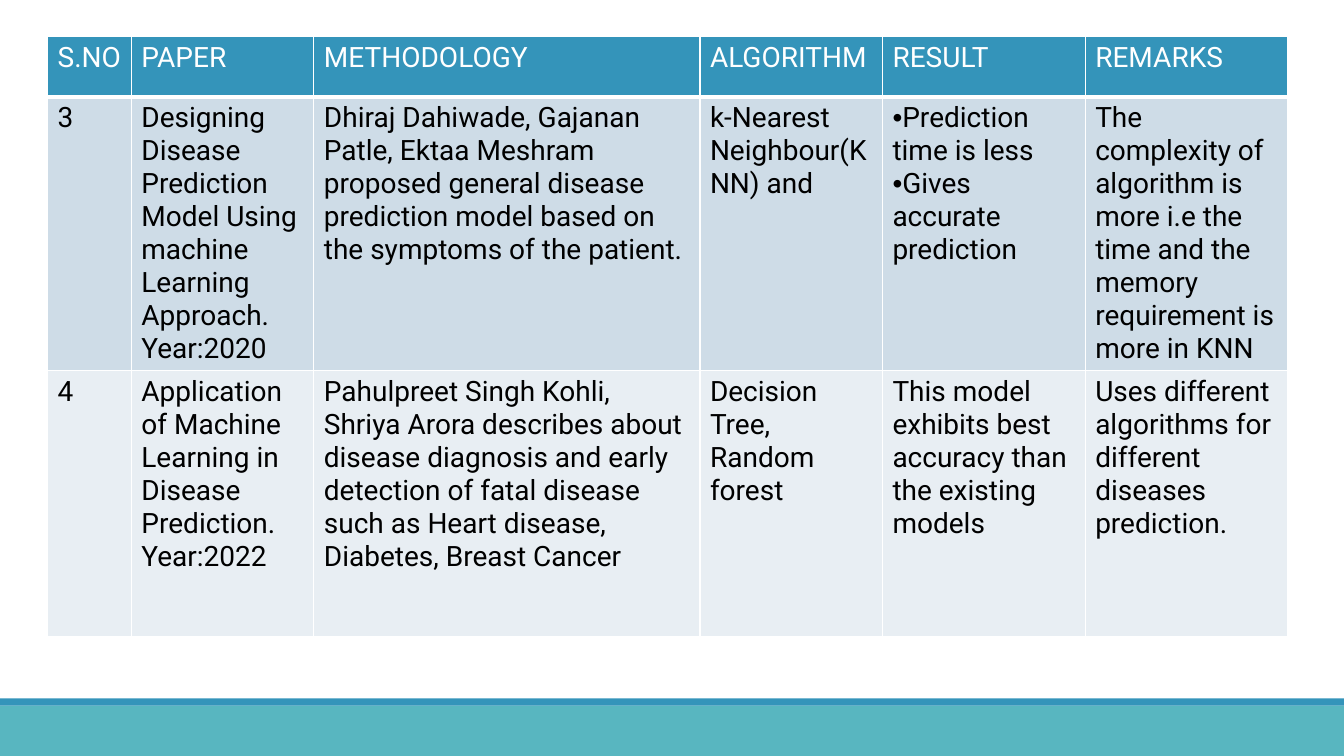
"""Builds the literature survey table slide, papers 3 and 4."""
from dataclasses import dataclass

from lxml.etree import SubElement
from pptx import Presentation
from pptx.dml.color import RGBColor
from pptx.enum.shapes import MSO_SHAPE
from pptx.oxml.ns import qn
from pptx.util import Cm, Pt


@dataclass(frozen=True)
class Theme:
    """Colours, font and sizes of the slide."""
    blue: str = "3494BA"
    teal: str = "58B6C0"
    white: str = "FFFFFF"
    black: str = "000000"
    stripes: tuple = ("CEDCE7", "E8EEF3")
    font: str = "Roboto"
    body: int = 20
    rule: int = 1
    header_rule: int = 3


@dataclass
class SlideBuilder:
    """Draws styled elements on one slide."""
    slide: object
    theme: Theme

    def band(self, left, top, width, height, colour):
        """Add a plain filled rectangle."""
        band = self.slide.shapes.add_shape(
            MSO_SHAPE.RECTANGLE, Cm(left), Cm(top), Cm(width), Cm(height))
        band.shadow.inherit = False
        band.fill.solid()
        band.fill.fore_color.rgb = RGBColor.from_string(colour)
        band.line.fill.background()

    def borders(self, cell, top, bottom):
        """Rule the four sides of a cell in white."""
        properties = cell._tc.get_or_add_tcPr()
        side_rule = self.theme.rule
        for side, points in zip("LRTB", (side_rule, side_rule, top, bottom)):
            rule = SubElement(properties, qn(f"a:ln{side}"), w=str(Pt(points)))
            paint = SubElement(rule, qn("a:solidFill"))
            SubElement(paint, qn("a:srgbClr"), val=self.theme.white)

    def bullet(self, paragraph):
        """Give a paragraph a bullet without indent."""
        properties = paragraph._p.get_or_add_pPr()
        properties.set("marL", "0")
        properties.set("indent", "0")
        SubElement(properties, qn("a:buFont"), typeface="Arial")
        SubElement(properties, qn("a:buChar"), char="•")

    def add_lines(self, frame, lines, colour, bulleted):
        """Add one paragraph per line."""
        for index, line in enumerate(lines):
            paragraph = frame.add_paragraph() if index else frame.paragraphs[0]
            if bulleted:
                self.bullet(paragraph)
            run = paragraph.add_run()
            run.text = line
            run.font.name = self.theme.font
            run.font.size = Pt(self.theme.body)
            run.font.bold = False
            run.font.color.rgb = RGBColor.from_string(colour)

    def table(self, left, top, widths, heights, rows):
        """Add a table with a header row and striped body; a list cell is bulleted."""
        theme = self.theme
        table = self.slide.shapes.add_table(
            len(rows), len(widths), Cm(left), Cm(top),
            Cm(sum(widths)), Cm(sum(heights))).table
        for column, width in zip(table.columns, widths):
            column.width = Cm(width)
        for index, (row, height, contents) in enumerate(zip(table.rows, heights, rows)):
            row.height = Cm(height)
            fill = theme.stripes[(index - 1) % 2] if index else theme.blue
            ink = theme.black if index else theme.white
            above = theme.header_rule if index == 1 else theme.rule
            below = theme.rule if index else theme.header_rule
            for cell, content in zip(row.cells, contents):
                self.borders(cell, above, below)
                cell.fill.solid()
                cell.fill.fore_color.rgb = RGBColor.from_string(fill)
                bulleted = isinstance(content, list)
                lines = content if bulleted else content.split("\n")
                self.add_lines(cell.text_frame, lines, ink, bulleted)


SURVEY = (
    ("S.NO", "PAPER", "METHODOLOGY", "ALGORITHM", "RESULT", "REMARKS"),
    ("3",
     "Designing Disease Prediction Model Using machine Learning Approach.\nYear:2020",
     "Dhiraj Dahiwade, Gajanan Patle, Ektaa Meshram proposed general disease "
     "prediction model based on the symptoms of the patient. ",
     "k-Nearest Neighbour(KNN) and",
     ["Prediction time is less", "Gives accurate prediction"],
     "The complexity of algorithm is more i.e the time and the memory "
     "requirement is more in KNN"),
    ("4",
     "Application of Machine Learning in Disease Prediction.\nYear:2022",
     "Pahulpreet Singh Kohli, Shriya Arora describes about disease diagnosis and "
     "early detection of fatal disease such as Heart disease, Diabetes, Breast Cancer",
     "Decision Tree, Random forest",
     "This model exhibits best accuracy than the existing models",
     "Uses different algorithms for different diseases prediction."),
)

PAGE_WIDTH, PAGE_HEIGHT = 33.87, 19.05
FOOTER_HEIGHT, STRIP_HEIGHT = 1.27, 0.18

deck = Presentation()
deck.slide_width, deck.slide_height = Cm(PAGE_WIDTH), Cm(PAGE_HEIGHT)
theme = Theme()
builder = SlideBuilder(deck.slides.add_slide(deck.slide_layouts[6]), theme)

footer_top = PAGE_HEIGHT - FOOTER_HEIGHT
builder.band(0, footer_top, PAGE_WIDTH, FOOTER_HEIGHT, theme.teal)
builder.band(0, footer_top - STRIP_HEIGHT, PAGE_WIDTH, STRIP_HEIGHT, theme.blue)
builder.table(1.2, 0.92, (2.11, 4.6, 9.73, 4.6, 5.11, 5.11), (1.52, 6.45, 6.7), SURVEY)

deck.save("out.pptx")
